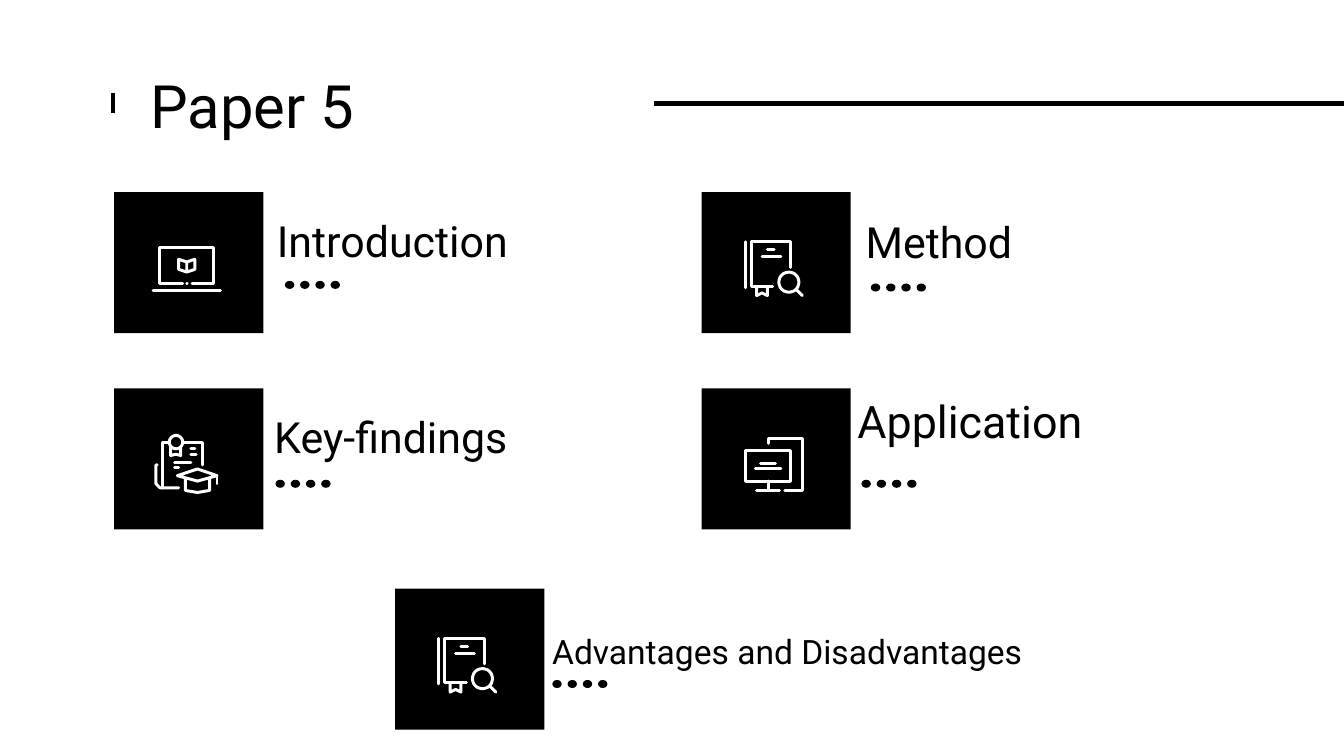
from math import cos, sin, tau

from lxml import etree
from pptx import Presentation
from pptx.dml.color import RGBColor
from pptx.enum.shapes import MSO_CONNECTOR, MSO_SHAPE
from pptx.enum.text import MSO_ANCHOR, MSO_AUTO_SIZE, PP_ALIGN
from pptx.oxml.ns import qn
from pptx.util import Inches, Pt

BLACK = RGBColor(0, 0, 0)
WHITE = RGBColor(255, 255, 255)
RECT, OVAL = MSO_SHAPE.RECTANGLE, MSO_SHAPE.OVAL
LINE = MSO_CONNECTOR.STRAIGHT
TOP, MIDDLE = MSO_ANCHOR.TOP, MSO_ANCHOR.MIDDLE
LEFT, FIXED = PP_ALIGN.LEFT, MSO_AUTO_SIZE.NONE
FONT = "Roboto"


def label(box, text, at, size, anchor):
    box.left, box.top, box.width, box.height = map(Inches, at)
    frame = box.text_frame
    frame.word_wrap, frame.auto_size = True, FIXED
    frame.vertical_anchor = anchor
    frame.margin_left = frame.margin_right = Inches(0.1)
    frame.margin_top = frame.margin_bottom = Inches(0.1)
    frame.text = text
    para = frame.paragraphs[0]
    props = para._p.get_or_add_pPr()
    props.set("marL", "0")
    props.set("indent", "0")
    etree.SubElement(props, qn("a:buNone"))
    para.alignment = LEFT
    para.space_before, para.line_spacing = Pt(0), 1.0
    para.font.name, para.font.size = FONT, Pt(size)
    para.font.bold = False
    para.font.color.rgb = BLACK


def ring(x, y, r):
    return [(x + r * cos(tau * i / 24), y + r * sin(tau * i / 24)) for i in range(25)]


book = [
    [(325, 370), (325, 710)],
    [(665, 560), (665, 370), (370, 370), (370, 700), (530, 700)],
    [(490, 430), (540, 430)],
    [(450, 480), (590, 480)],
    [(410, 710), (410, 770), (450, 750), (490, 770), (490, 710)],
    ring(650, 670, 75),
    [(705, 725), (750, 770)],
]
laptop = [
    [(510, 680), (340, 680), (340, 415), (740, 415), (740, 680), (580, 680)],
    [(540, 680), (544, 680)],
    [(290, 730), (790, 730)],
    [(540, 595), (480, 575), (480, 500), (540, 520), (600, 500), (600, 575),
     (540, 595), (540, 520)],
]
screen = [
    [(325, 465), (660, 465), (660, 690), (325, 690), (325, 465)],
    [(495, 690), (495, 760)],
    [(410, 760), (580, 760)],
    [(440, 560), (550, 560)],
    [(400, 600), (590, 600)],
    [(495, 410), (495, 370), (750, 370), (750, 760), (620, 760)],
]
degree = [
    ring(460, 400, 50),
    [(420, 440), (420, 500), (460, 490), (495, 500), (495, 440)],
    [(320, 570), (310, 570), (310, 710), (340, 740), (480, 740)],
    [(360, 740), (360, 400), (410, 400)],
    [(510, 400), (660, 400), (660, 570)],
    [(570, 450), (600, 450)],
    [(570, 490), (610, 490)],
    [(450, 550), (570, 550)],
    [(450, 590), (480, 590)],
    [(620, 600), (765, 650), (620, 690), (470, 650), (620, 600)],
    [(530, 670), (530, 760), (620, 775), (710, 760), (710, 670)],
    [(765, 650), (765, 710)],
]

deck = Presentation()
deck.slide_width = Inches(10)
deck.slide_height = deck.slide_width * 9 // 16
slide = deck.slides.add_slide(deck.slide_layouts[4])
shapes = slide.shapes
holds = slide.placeholders

label(shapes.title, "Paper 5", (1.02, 0.41, 8.19, 0.63), 32, TOP)

items = [
    ("Introduction", holds[1], (1.96, 1.57, 2.53, 0.43), 23, (0.85, 1.43), laptop, (2.12, 2.09)),
    ("Method", holds[2], (6.34, 1.58, 2.53, 0.43), 23, (5.22, 1.43), book, (6.48, 2.11)),
    ("Key-findings", holds[3], (1.94, 3.03, 2.53, 0.43), 23, (0.85, 2.89), degree, (2.05, 3.57)),
    ("Application", holds[4], (6.28, 2.61, 3.88, 1.04), 24, (5.22, 2.89), screen, (6.41, 3.57)),
    ("Advantages and Disadvantages", shapes.add_textbox(0, 0, 0, 0),
     (4.01, 4.64, 4.64, 0.41), 18, (2.94, 4.38), book, (4.11, 5.06)),
]

for text, box, at, size, (x, y), icon, (dx, dy) in items:
    label(box, text, at, size, MIDDLE)
    solids = [shapes.add_shape(RECT, Inches(x), Inches(y), Inches(1.11), Inches(1.05))]
    for i in range(4):
        left = Inches(dx + i * 0.34 / 3)
        solids.append(shapes.add_shape(OVAL, left, Inches(dy), Inches(0.07), Inches(0.06)))
    for solid in solids:
        solid.shadow.inherit = False
        solid.fill.solid()
        solid.fill.fore_color.rgb = BLACK
        solid.line.fill.background()

    pen = shapes.build_freeform(*icon[0][0], scale=Inches(0.001))
    pen.add_line_segments(icon[0][1:], close=False)
    for stroke in icon[1:]:
        pen.move_to(*stroke[0])
        pen.add_line_segments(stroke[1:], close=False)
    art = pen.convert_to_shape(Inches(x), Inches(y))
    art.shadow.inherit = False
    art.fill.background()
    art.line.color.rgb = WHITE
    art.line.width = Pt(1.6)
    edge = art.line._get_or_add_ln()
    edge.set("cap", "rnd")
    etree.SubElement(edge, qn("a:round"))

for ends in [(10.07, 0.77, 4.87, 0.77), (0.84, 0.69, 0.84, 0.84)]:
    rule = shapes.add_connector(LINE, *map(Inches, ends))
    rule.line.color.rgb = BLACK
    rule.line.width = Pt(2.25)
    etree.SubElement(rule._element.spPr, qn("a:effectLst"))

deck.save("out.pptx")
